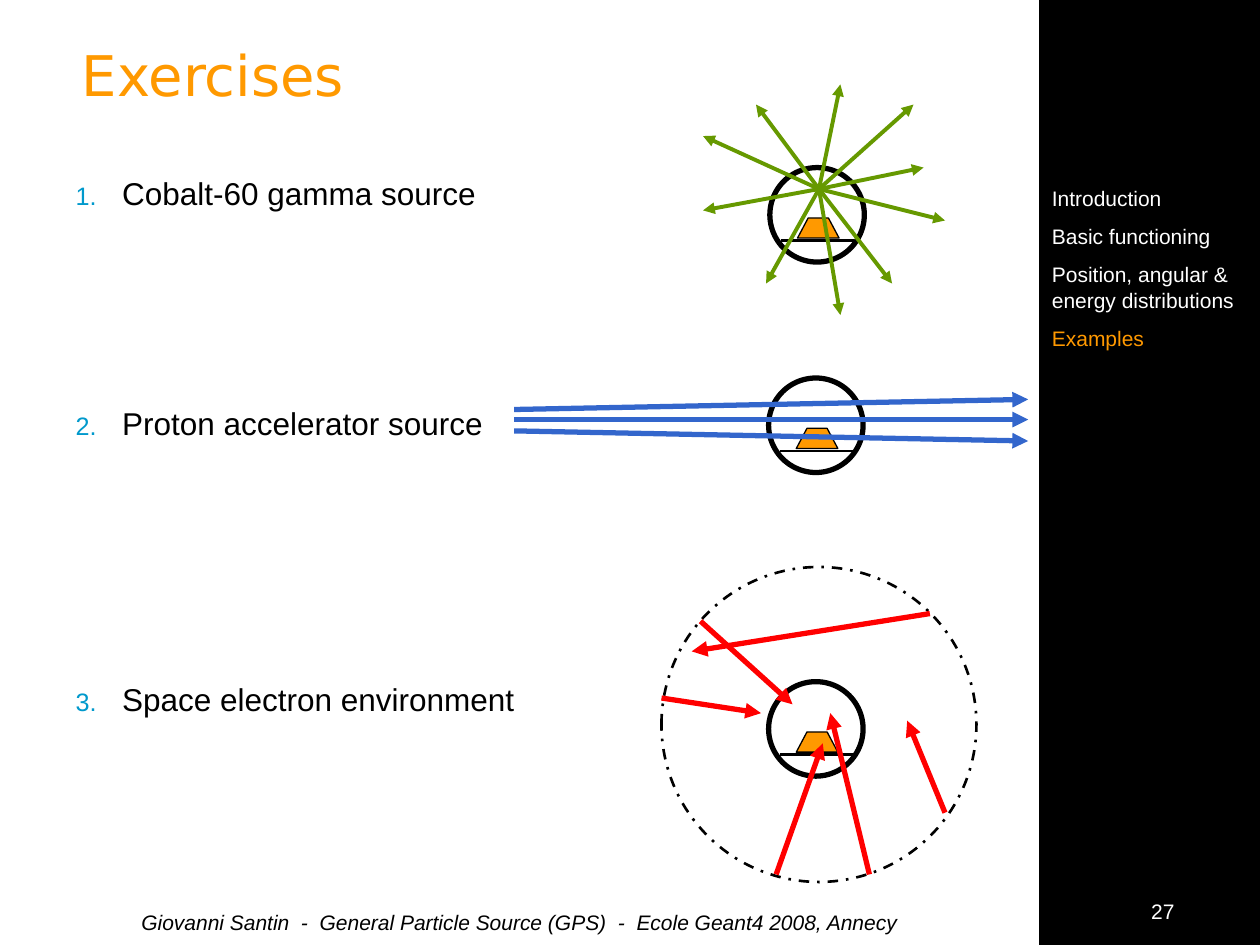
import pptx
import pptx.util
import pptx.dml.color
import pptx.enum.dml
import pptx.enum.shapes
import pptx.enum.text
import pptx.oxml
import pptx.oxml.ns

Inches, Pt = pptx.util.Inches, pptx.util.Pt
RGBColor = pptx.dml.color.RGBColor
SHAPE = pptx.enum.shapes.MSO_SHAPE
ALIGN = pptx.enum.text.PP_ALIGN
ANCHOR = pptx.enum.text.MSO_ANCHOR

BLACK = RGBColor(0, 0, 0)
WHITE = RGBColor(255, 255, 255)
ORANGE = RGBColor(0xFF, 0x99, 0x00)
GREEN = RGBColor(0x66, 0x99, 0x00)
BLUE = RGBColor(0x33, 0x66, 0xCC)
RED = RGBColor(255, 0, 0)
NUMBER_COLOUR = "0099CC"

TITLE = "Exercises"
# Exercise, space above it in points
EXERCISES = [
    ("Cobalt-60 gamma source", 4.5),
    ("Proton accelerator source", 110),
    ("Space electron environment", 136),
]
SECTIONS = ["Introduction", "Basic functioning",
            "Position, angular & energy distributions", "Examples"]
CURRENT_SECTION = "Examples"
FOOTER = "Giovanni Santin  -  General Particle Source (GPS)  -  Ecole Geant4 2008, Annecy"
PAGE_NUMBER = "27"

SIDEBAR_LEFT, SIDEBAR_WIDTH = 8.25, 1.75
DETECTORS = [(6.11, 1.33), (6.1, 3), (6.1, 5.41)]
DETECTOR_SIZE = 0.75
ENVIRONMENT = (5.25, 4.5, 2.5, 2.5)

GAMMA_SOURCE = (6.5, 1.5)
GAMMA_ENDS = [(6.67, 0.67), (6, 0.83), (7.33, 1.33), (5.58, 1.08), (7.5, 1.75),
              (6.08, 2.25), (7.08, 2.25), (5.58, 1.67), (7.25, 0.83), (6.67, 2.5)]
BEAM_LEFT, BEAM_RIGHT, BEAM_Y = 4.08, 8.16, 3.33
BEAM_SPREADS = [(0, 0), (0.09, 0.17), (-0.08, -0.16)]
ELECTRONS = [
    ((5.25, 5.54), (6.04, 5.66)),
    ((5.56, 4.93), (6.29, 5.59)),
    ((6.9, 6.94), (6.59, 5.66)),
    ((7.5, 6.45), (7.2, 5.72)),
    ((7.38, 4.87), (5.49, 5.17)),
    ((6.16, 6.94), (6.53, 5.9)),
]


def add_xml(parent, tag, **attributes):
    child = pptx.oxml.ns.qn(tag)
    element = parent.makeelement(child, attributes)
    parent.append(element)
    return element


def add_span(para, text, size, colour, font="Arial", italic=False):
    span = para.add_run()
    span.text = text
    span.font.size = Pt(size)
    span.font.name = font
    span.font.italic = italic
    span.font.color.rgb = colour


def add_paragraphs(frame, texts):
    """Yield one paragraph per text, reusing the frame's first one."""
    for index, text in enumerate(texts):
        yield (frame.add_paragraph() if index else frame.paragraphs[0]), text


def place(box, left, top, width, height):
    box.left, box.top = Inches(left), Inches(top)
    box.width, box.height = Inches(width), Inches(height)


def add_outlined(slide, kind, area, fill, weight):
    shape = slide.shapes.add_shape(kind, *map(Inches, area))
    shape.shadow.inherit = False
    if fill is None:
        shape.fill.background()
    else:
        shape.fill.solid()
        shape.fill.fore_color.rgb = fill
    shape.line.color.rgb = BLACK
    shape.line.width = Pt(weight)
    return shape


def add_line(slide, start, end, colour, weight, arrow=True):
    line = slide.shapes.add_connector(
        pptx.enum.shapes.MSO_CONNECTOR.STRAIGHT, *map(Inches, (*start, *end)))
    line.line.color.rgb = colour
    line.line.width = Pt(weight)
    if arrow:
        add_xml(line.line._get_or_add_ln(), "a:tailEnd", type="triangle")
    add_xml(line._element.spPr, "a:effectLst")


def add_text_box(slide, area):
    box = slide.shapes.add_textbox(*map(Inches, area))
    box.text_frame.word_wrap = True
    return box


def add_detector(slide, left, top):
    add_outlined(slide, SHAPE.OVAL, (left, top, DETECTOR_SIZE, DETECTOR_SIZE), WHITE, 3)
    floor = top + 0.58
    add_line(slide, (left + 0.09, floor), (left + 0.67, floor), BLACK, 1.5, arrow=False)
    target = add_outlined(slide, SHAPE.TRAPEZOID, (left + 0.22, top + 0.4, 0.33, 0.16),
                          ORANGE, 0.75)
    target.adjustments[0] = 0.53


def fill_title(title):
    place(title, 0.55, 0.17, 7.53, 0.83)
    frame = title.text_frame
    frame.auto_size = pptx.enum.text.MSO_AUTO_SIZE.NONE
    frame.vertical_anchor = ANCHOR.MIDDLE
    para = frame.paragraphs[0]
    para.alignment = ALIGN.LEFT
    add_span(para, TITLE, 32, ORANGE, "DejaVu Sans")


def fill_exercises(body):
    place(body, 0.5, 1.33, 7, 4.5)
    body.text_frame.auto_size = pptx.enum.text.MSO_AUTO_SIZE.NONE
    for para, (text, gap) in add_paragraphs(body.text_frame, EXERCISES):
        para.space_before = Pt(gap)
        properties = para._p.get_or_add_pPr()
        properties.set("marL", str(Inches(0.37)))
        properties.set("indent", str(-Inches(0.37)))
        add_xml(add_xml(properties, "a:buClr"), "a:srgbClr", val=NUMBER_COLOUR)
        add_xml(properties, "a:buSzPct", val="80000")
        add_xml(properties, "a:buFont", typeface="Arial")
        add_xml(properties, "a:buAutoNum", type="arabicPeriod")
        add_span(para, text, 18, BLACK)


def add_sidebar(slide):
    add_outlined(slide, SHAPE.RECTANGLE, (SIDEBAR_LEFT, 0, SIDEBAR_WIDTH, 7.5), BLACK, 0.75)
    box = add_text_box(slide, (SIDEBAR_LEFT, 1.42, SIDEBAR_WIDTH, 1.42))
    for para, text in add_paragraphs(box.text_frame, SECTIONS):
        para.space_before = Pt(7.5)
        add_span(para, text, 12, ORANGE if text == CURRENT_SECTION else WHITE)


def add_footer(slide):
    for area, text, align, colour, italic in [
        ((0.42, 7.17, 7.41, 0.25), FOOTER, ALIGN.CENTER, BLACK, True),
        ((8.92, 7.08, 0.5, 0.25), PAGE_NUMBER, ALIGN.RIGHT, WHITE, False),
    ]:
        para = add_text_box(slide, area).text_frame.paragraphs[0]
        para.alignment = align
        add_span(para, text, 12, colour, italic=italic)


def main():
    deck = pptx.Presentation()
    deck.slide_width, deck.slide_height = Inches(10), Inches(7.5)
    slide = deck.slides.add_slide(deck.slide_layouts[1])
    fill_title(slide.shapes.title)
    fill_exercises(slide.placeholders[1])
    add_sidebar(slide)
    for left, top in DETECTORS:
        add_detector(slide, left, top)

    sphere = add_outlined(slide, SHAPE.OVAL, ENVIRONMENT, None, 1.5)
    sphere.line.dash_style = pptx.enum.dml.MSO_LINE.DASH_DOT
    for start, end in ELECTRONS:
        add_line(slide, start, end, RED, 3)
    for near, far in BEAM_SPREADS:
        add_line(slide, (BEAM_LEFT, BEAM_Y + near), (BEAM_RIGHT, BEAM_Y + far), BLUE, 3)
    for end in GAMMA_ENDS:
        add_line(slide, GAMMA_SOURCE, end, GREEN, 2.25)
    add_footer(slide)
    deck.save("out.pptx")


if __name__ == "__main__":
    main()
